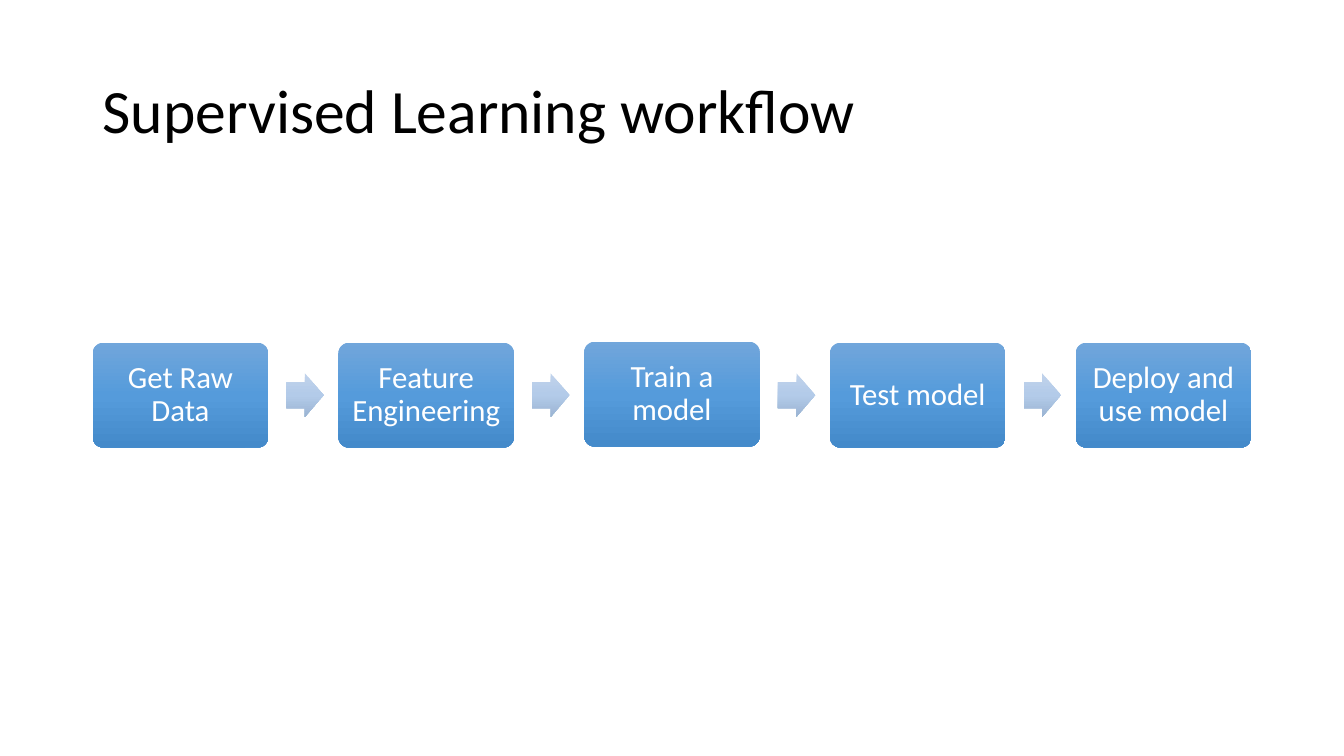
from copy import deepcopy

from pptx import Presentation
from pptx import util as u
from pptx.dml.color import RGBColor
from pptx.enum import shapes, text
from pptx.oxml.ns import qn

COLORS = {
    "title": "000000",
    "label": "FFFFFF",
    "step": ["71A6DB", "559BDB", "448ACA"],
    "arrow": ["C0D2EB", "B3CBE9", "9BB4D3"],
}
FONT = "Calibri"
STEPS = ["Get Raw Data", "Feature Engineering", "Train a model",
         "Test model", "Deploy and use model"]
STEP_W, STEP_H = 1.74, 1.04
ARROW_W, ARROW_H = 0.37, 0.43
ARROW_GAP = 0.18
MIDDLE_RAISE = 0.01
ARROW_TILTS = [0, -0.2, 0.2, 0]


def write(tf, words, size, color, align):
    tf.word_wrap = True
    tf.vertical_anchor = text.MSO_ANCHOR.MIDDLE
    p = tf.paragraphs[0]
    p.alignment = align
    p.line_spacing = 0.9
    r = p.add_run()
    r.text = words
    r.font.name = FONT
    r.font.size = u.Pt(size)
    r.font.color.rgb = RGBColor.from_string(color)


def add_gradient_shape(slide, kind, box, adjustments, colors):
    s = slide.shapes.add_shape(kind, *(u.Inches(v) for v in box))
    s.shadow.inherit = False
    s.line.fill.background()
    for i, value in enumerate(adjustments):
        s.adjustments[i] = value
    # Three evenly spaced stops, running from top to bottom
    s.fill.gradient()
    s.fill.gradient_angle = 270
    stops = s._element.spPr.find(".//" + qn("a:gsLst"))
    stops.append(deepcopy(stops[-1]))
    for i, stop in enumerate(s.fill.gradient_stops):
        stop.position = i / 2
        stop.color.rgb = RGBColor.from_string(colors[i])
    return s


def add_title(slide, left, top, width, height):
    sp = slide.shapes.add_textbox(*(u.Inches(v) for v in (left, top, width, height)))
    write(sp.text_frame, "Supervised Learning workflow", 44, COLORS["title"],
          text.PP_ALIGN.LEFT)


def add_workflow(slide, left, top, width, height):
    pitch = (width - STEP_W) / (len(STEPS) - 1)
    for i, label in enumerate(STEPS):
        x = left + i * pitch
        y = top - (MIDDLE_RAISE if i == len(STEPS) // 2 else 0)
        # Step box
        s = add_gradient_shape(slide, shapes.MSO_SHAPE.ROUNDED_RECTANGLE,
                               (x, y, STEP_W, height), [0.1], COLORS["step"])
        tf = s.text_frame
        tf.margin_left = tf.margin_right = u.Inches(0.09)
        tf.margin_top = tf.margin_bottom = u.Inches(0.09)
        write(tf, label, 22, COLORS["label"], text.PP_ALIGN.CENTER)
        # Arrow to the next step
        if i < len(ARROW_TILTS):
            box = (x + STEP_W + ARROW_GAP, top + (height - ARROW_H) / 2,
                   ARROW_W, ARROW_H)
            arrow = add_gradient_shape(slide, shapes.MSO_SHAPE.RIGHT_ARROW, box,
                                       [0.6, 0.5], COLORS["arrow"])
            arrow.rotation = ARROW_TILTS[i]


def main():
    prs = Presentation()
    prs.slide_width, prs.slide_height = u.Inches(13.33), u.Inches(7.5)
    slide = prs.slides.add_slide(prs.slide_layouts[6])
    add_title(slide, 0.92, 0.4, 11.5, 1.45)
    add_workflow(slide, 0.92, 3.4, 11.49, STEP_H)
    prs.save("out.pptx")


if __name__ == "__main__":
    main()
